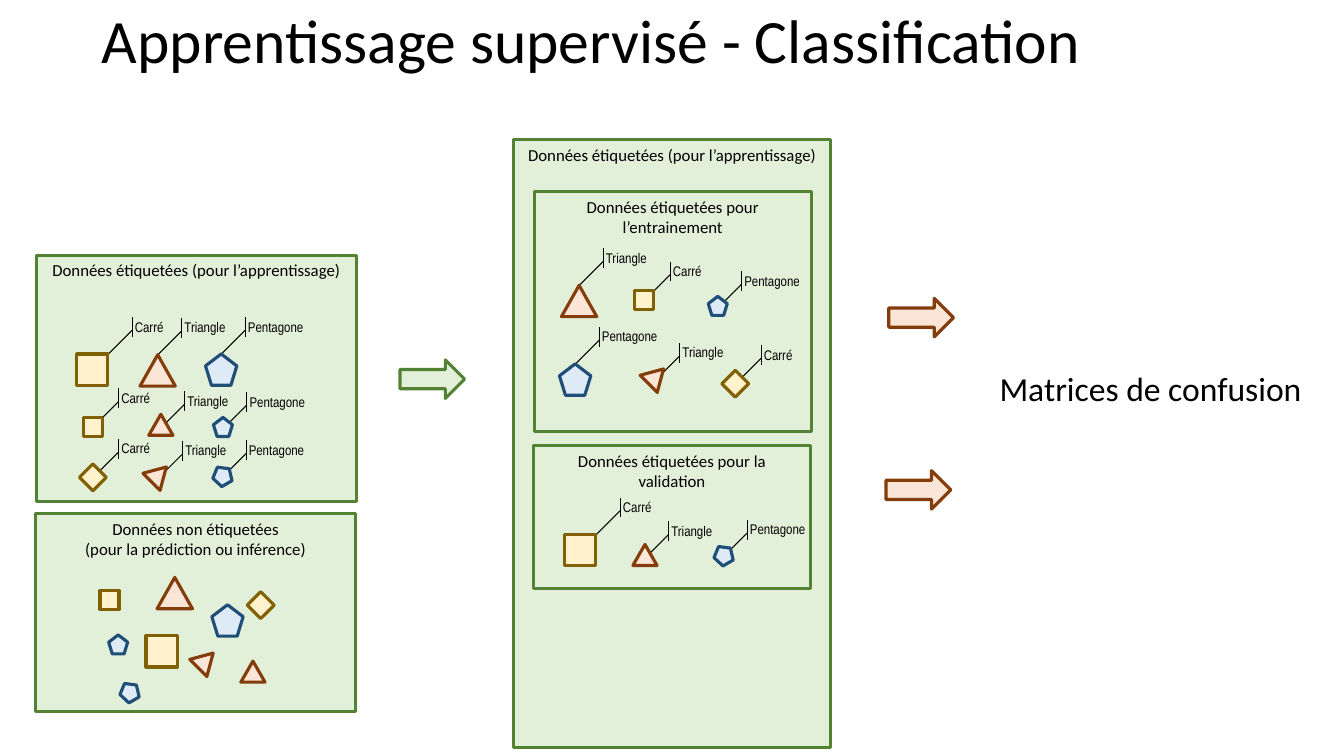
"""Build the slide on supervised learning and classification."""
from pptx import Presentation
from pptx.dml.color import RGBColor
from pptx.enum.shapes import MSO_CONNECTOR, MSO_SHAPE
from pptx.enum.text import MSO_ANCHOR, PP_ALIGN
from pptx.oxml.ns import qn
from pptx.util import Cm, Pt
from lxml import etree

LINE = MSO_CONNECTOR.STRAIGHT
RECT, ARROW = MSO_SHAPE.RECTANGLE, MSO_SHAPE.RIGHT_ARROW
TRIANGLE, PENTAGON = MSO_SHAPE.ISOSCELES_TRIANGLE, MSO_SHAPE.REGULAR_PENTAGON
TOP, MIDDLE = MSO_ANCHOR.TOP, MSO_ANCHOR.MIDDLE
LEFT, CENTER = PP_ALIGN.LEFT, PP_ALIGN.CENTER

COLORS = {
    "text": "000000",
    "green": "E2F0D9", "green_line": "548235",
    "yellow": "FFF2CC", "yellow_line": "806000",
    "orange": "FBE5D6", "orange_line": "843C0B",
    "blue": "DEEBF7", "blue_line": "1F4E79",
}
FORMS = {
    "Carré": (RECT, "yellow", 45),
    "Triangle": (TRIANGLE, "orange", 45),
    "Pentagone": (PENTAGON, "blue", 330),
}
LARGE = {
    "Carré": (0.79, 0.79, 0.8, 0),
    "Triangle": (0.89, 0.79, 0.45, 0),
    "Pentagone": (0.79, 0.79, 0.4, 0),
}
SMALL = {
    "Carré": (0.48, 0.48, 0.29, 0.2),
    "Triangle": (0.61, 0.53, 0.3, 0.35),
    "Pentagone": (0.48, 0.48, 0.24, 0.29),
}
SIZES = {"large": LARGE, "small": SMALL, "tilted": SMALL}

LEARNING = [
    ("Carré", "large", 1.02, 2.49), ("Triangle", "large", 2.62, 2.51),
    ("Pentagone", "large", 4.27, 2.49),
    ("Carré", "small", 1.19, 4.09), ("Triangle", "small", 2.84, 4.01),
    ("Pentagone", "small", 4.47, 4.09),
    ("Carré", "tilted", 1.19, 5.36), ("Triangle", "tilted", 2.79, 5.26),
    ("Pentagone", "tilted", 4.45, 5.31),
]
VALIDATION = [
    ("Carré", "large", 0.79, 2.24), ("Triangle", "small", 2.51, 2.49),
    ("Pentagone", "tilted", 4.55, 2.51),
]
TRAINING = [
    ("Triangle", "large", 0.69, 2.36), ("Pentagone", "large", 0.64, 4.34),
    ("Carré", "small", 2.54, 2.49), ("Pentagone", "small", 4.39, 2.64),
    ("Carré", "tilted", 4.83, 4.6), ("Triangle", "tilted", 2.77, 4.39),
]
UNLABELLED = [
    ("Carré", "large", 2.79, 3.07), ("Triangle", "large", 3.07, 1.6),
    ("Pentagone", "large", 4.45, 2.29),
    ("Carré", "small", 1.63, 1.93), ("Triangle", "small", 5.18, 3.71),
    ("Pentagone", "small", 1.85, 3.05),
    ("Carré", "tilted", 5.44, 2.06), ("Triangle", "tilted", 3.99, 3.43),
    ("Pentagone", "tilted", 2.13, 4.24),
]


def write(sp, lines, size, font="Calibri", align=LEFT, anchor=TOP, spacing=None):
    """Fill a shape with paragraphs of one format."""
    tf = sp.text_frame
    tf.word_wrap = True
    tf.vertical_anchor = anchor
    tf.text = "\n".join(lines)
    for p in tf.paragraphs:
        p.alignment = align
        p.line_spacing = spacing
        p.font.size = Pt(size)
        p.font.name = font
        p.font.color.rgb = RGBColor.from_string(COLORS["text"])


def add_form(s, preset, color, x, y, w, h, rotation=0):
    """Add a filled and outlined preset shape."""
    sp = s.shapes.add_shape(preset, Cm(x), Cm(y), Cm(w), Cm(h))
    sp.shadow.inherit = False
    sp.rotation = rotation
    sp.fill.solid()
    sp.fill.fore_color.rgb = RGBColor.from_string(COLORS[color])
    sp.line.color.rgb = RGBColor.from_string(COLORS[color + "_line"])
    sp.line.width = Pt(2.25)
    return sp


def add_line(s, x1, y1, x2, y2):
    """Add a thin straight line."""
    line = s.shapes.add_connector(LINE, Cm(x1), Cm(y1), Cm(x2), Cm(y2))
    line.line.color.rgb = RGBColor.from_string(COLORS["text"])
    line.line.width = Pt(0.75)
    etree.SubElement(line._element.spPr, qn("a:effectLst"))


def add_label(s, name, x, y):
    """Add a callout whose leader starts at the given point."""
    add_line(s, x, y, x + 0.6, y - 0.6)
    add_line(s, x + 0.6, y - 0.43, x + 0.6, y - 0.93)
    tb = s.shapes.add_textbox(Cm(x + 0.42), Cm(y - 1.03), Cm(3.81), Cm(0.69))
    write(tb, [name], 10, "Arial Narrow")


def add_panel(s, box, heading, items=(), labelled=True):
    """Add a headed data panel with its samples."""
    write(add_form(s, RECT, "green", *box), heading, 12, align=CENTER)
    for name, style, dx, dy in items:
        x, y = box[0] + dx, box[1] + dy
        preset, color, tilt = FORMS[name]
        w, h, anchor_x, anchor_y = SIZES[style][name]
        if labelled:
            add_label(s, name, x + anchor_x, y + anchor_y)
        add_form(s, preset, color, x, y, w, h, tilt if style == "tilted" else 0)


def add_title(s, box, text):
    """Place and format the title placeholder."""
    title = s.shapes.title
    title.left, title.top, title.width, title.height = map(Cm, box)
    write(title, [text], 44, anchor=MIDDLE, spacing=0.9)


def add_result(s, box, text):
    """Add the text naming the result."""
    tb = s.shapes.add_textbox(*map(Cm, box))
    write(tb, [text], 24, anchor=MIDDLE, spacing=0.9)


def main():
    """Assemble and save the slide."""
    prs = Presentation()
    prs.slide_width, prs.slide_height = Cm(33.87), Cm(19.05)
    s = prs.slides.add_slide(prs.slide_layouts[5])
    add_title(s, (2.31, -0.74, 29.21, 3.68), "Apprentissage supervisé - Classification")
    heading = ["Données étiquetées (pour l’apprentissage)"]
    add_panel(s, (0.91, 6.43, 8.08, 6.2), heading, LEARNING)
    add_panel(s, (12.95, 3.51, 7.98, 15.32), heading)
    add_panel(s, (13.44, 11.23, 6.99, 3.61),
              ["Données étiquetées pour la validation"], VALIDATION)
    add_panel(s, (13.46, 4.83, 6.99, 6.05),
              ["Données étiquetées pour l’entrainement"], TRAINING)
    add_panel(s, (0.89, 12.95, 8.08, 4.98),
              ["Données non étiquetées", "(pour la prédiction ou inférence)"],
              UNLABELLED, labelled=False)
    for color, x, y in (("green", 10.08, 9.07), ("orange", 22.4, 7.52),
                        ("orange", 22.33, 11.86)):
        add_form(s, ARROW, color, x, y, 1.63, 0.97)
    add_result(s, (24.94, 8, 8.59, 3.68), "Matrices de confusion")
    prs.save("out.pptx")


main()
